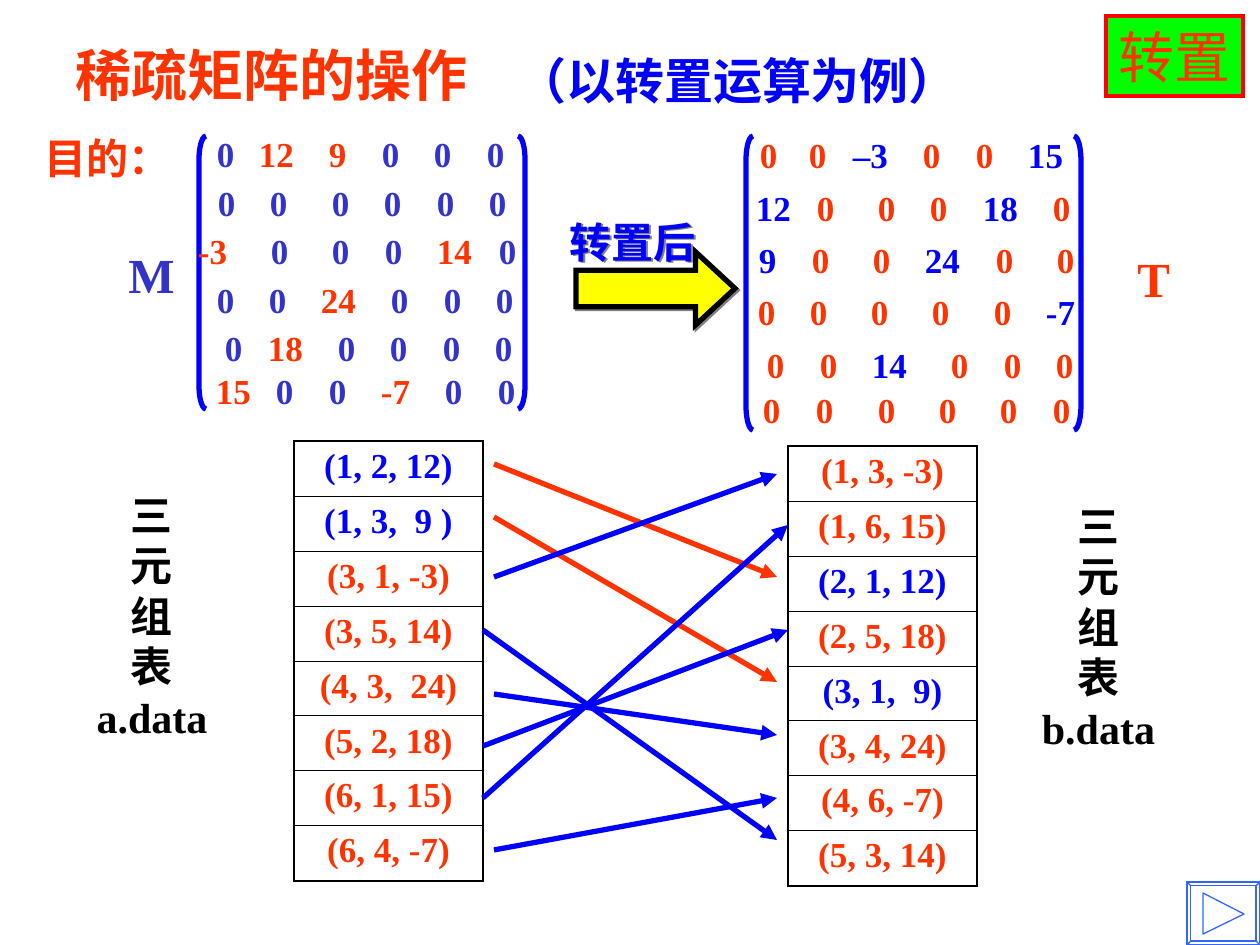
from pptx import Presentation
from pptx.dml.color import RGBColor
from pptx.enum.shapes import MSO_CONNECTOR, MSO_SHAPE
from pptx.enum.text import MSO_ANCHOR as Anchor, PP_ALIGN as Align
from pptx.oxml import parse_xml
from pptx.oxml.ns import nsdecls, qn
from pptx.util import Emu, Pt

EMU_PER_PX = 914400 / 126
SERIF, SANS = "Times New Roman", "Noto Sans CJK SC"
RED = RGBColor(0xFF, 0x33, 0x00)
BLUE = RGBColor(0x00, 0x00, 0xFF)
INDIGO = RGBColor(0x33, 0x33, 0xCC)
BLACK = RGBColor(0x00, 0x00, 0x00)
YELLOW = RGBColor(0xFF, 0xFF, 0x00)
GREEN = RGBColor(0x00, 0xFF, 0x00)
FRAME_RED = RGBColor(0xFF, 0x00, 0x00)
BUTTON_BLUE = RGBColor(0x33, 0x66, 0xFF)

# Matrix rows: top, entries, left edge of each entry
MATRIX_M = [
    (136, "0 12 9 0 0 0", (217, 259, 329, 382, 434, 487)),
    (185, "0 0 0 0 0 0", (218, 270, 332, 384, 437, 489)),
    (233, "-3 0 0 0 14 0", (198, 271, 332, 385, 437, 499)),
    (282, "0 0 24 0 0 0", (217, 269, 321, 391, 444, 496)),
    (330, "0 18 0 0 0 0", (225, 268, 338, 390, 443, 495)),
    (373, "15 0 0 -7 0 0", (216, 276, 329, 381, 445, 498)),
]
MATRIX_T = [
    (136, "0 0 –3 0 0 15", (760, 809, 853, 923, 976, 1028)),
    (189, "12 0 0 0 18 0", (756, 817, 878, 930, 983, 1053)),
    (241, "9 0 0 24 0 0", (759, 812, 873, 925, 996, 1057)),
    (293, "0 0 0 0 0 -7", (758, 810, 871, 932, 994, 1046)),
    (346, "0 0 14 0 0 0", (767, 820, 872, 951, 1004, 1056)),
    (391, "0 0 0 0 0 0", (763, 816, 878, 939, 1000, 1053)),
]

TRIPLES_A = ["(1, 2, 12)", "(1, 3,  9 )", "(3, 1, -3)", "(3, 5, 14)",
             "(4, 3,  24)", "(5, 2, 18)", "(6, 1, 15)", "(6, 4, -7)"]
TRIPLES_B = ["(1, 3, -3)", "(1, 6, 15)", "(2, 1, 12)", "(2, 5, 18)",
             "(3, 1,  9)", "(3, 4, 24)", "(4, 6, -7)", "(5, 3, 14)"]

ARROWS = [
    (494, 464, 777, 577, RED),
    (494, 517, 777, 682, RED),
    (494, 577, 777, 474, BLUE),
    (483, 630, 777, 840, BLUE),
    (494, 850, 777, 798, BLUE),
    (494, 694, 777, 735, BLUE),
    (483, 746, 788, 630, BLUE),
    (483, 798, 788, 525, BLUE),
]


def px(length):
    return Emu(round(length * EMU_PER_PX))


def box(*lengths):
    return [px(length) for length in lengths]


def style_font(run, size, color, name=SERIF, bold=True):
    for key, value in {"size": Pt(size), "bold": bold, "name": name}.items():
        setattr(run.font, key, value)
    run.font.color.rgb = color
    # Chinese characters always use the sans face
    run.font._element.append(
        parse_xml(f'<a:ea {nsdecls("a")} typeface="{SANS}"/>'))


def add_text(slide, bounds, lines, size, color, name=SERIF,
             align=Align.LEFT, wrap=False):
    shape = slide.shapes.add_textbox(*box(*bounds))
    frame = shape.text_frame
    frame.word_wrap = wrap
    frame.vertical_anchor = Anchor.MIDDLE
    for index, line in enumerate(lines):
        paragraph = frame.add_paragraph() if index else frame.paragraphs[0]
        paragraph.alignment = align
        run = paragraph.add_run()
        run.text = line
        style_font(run, size, color, name)
    return shape


def add_preset(slide, preset, bounds, line, width, fill=None):
    shape = slide.shapes.add_shape(preset, *box(*bounds))
    shape.shadow.inherit = False
    if fill is None:
        shape.fill.background()
    else:
        shape.fill.solid()
        shape.fill.fore_color.rgb = fill
    shape.line.color.rgb = line
    shape.line.width = Pt(width)
    shape.element.spPr.find(qn("a:ln")).append(
        parse_xml(f'<a:miter {nsdecls("a")} lim="800000"/>'))
    return shape


def add_drop_shadow(shape):
    shape.shadow.inherit = False
    shape.element.spPr.find(qn("a:effectLst")).append(parse_xml(
        f'<a:outerShdw {nsdecls("a")} dist="17961" dir="2700000">'
        '<a:srgbClr val="808080"/></a:outerShdw>'))


def add_matrix(slide, rows, left, right, height, zero_color, value_color):
    bracket_width = 7
    for preset, x in ((MSO_SHAPE.LEFT_BRACKET, left),
                      (MSO_SHAPE.RIGHT_BRACKET, right - bracket_width)):
        bracket = add_preset(slide, preset, (x, 136, bracket_width, height),
                             BLUE, 3)
        bracket.adjustments[0] = height / 12 / bracket_width
    for top, entries, edges in rows:
        shape = slide.shapes.add_textbox(*box(edges[0], top, 330, height / 8))
        frame = shape.text_frame
        for side in ("left", "right", "top", "bottom"):
            setattr(frame, f"margin_{side}", 0)
        frame.word_wrap = True
        frame.vertical_anchor = Anchor.MIDDLE
        paragraph = frame.paragraphs[0]
        stops = "".join(f'<a:tab pos="{px(edge - edges[0])}" algn="l"/>'
                        for edge in edges[1:])
        paragraph._p.get_or_add_pPr().append(
            parse_xml(f'<a:tabLst {nsdecls("a")}>{stops}</a:tabLst>'))
        for index, entry in enumerate(entries.split()):
            run = paragraph.add_run()
            run.text = "\t" + entry if index else entry
            style_font(run, 20, zero_color if entry == "0" else value_color)


def add_triple_table(slide, left, top, triples, blue_rows):
    row_height = 55
    count = len(triples)
    frame = slide.shapes.add_table(
        count, 1, *box(left, top, 189, row_height * count))
    table = frame.table
    table.first_row = table.horz_banding = False
    for index, triple in enumerate(triples):
        table.rows[index].height = px(row_height)
        cell = table.cell(index, 0)
        paragraph = cell.text_frame.paragraphs[0]
        paragraph.alignment = Align.CENTER
        run = paragraph.add_run()
        run.text = triple
        style_font(run, 20, BLUE if index in blue_rows else RED)
        # Outer edges are thicker than the row rules
        widths = {"L": 1.08, "R": 1.08,
                  "T": 0.45 if index else 1.08,
                  "B": 0.45 if index < count - 1 else 1.08}
        for side, width in widths.items():
            cell._tc.get_or_add_tcPr().append(parse_xml(
                f'<a:ln{side} {nsdecls("a")} w="{Pt(width)}"><a:solidFill>'
                f'<a:srgbClr val="{BLACK}"/></a:solidFill></a:ln{side}>'))
        cell.fill.background()
        cell.vertical_anchor = Anchor.MIDDLE
        cell.margin_top = px(2)


def add_arrow(slide, x1, y1, x2, y2, color):
    arrow = slide.shapes.add_connector(
        MSO_CONNECTOR.STRAIGHT, *box(x1, y1, x2, y2))
    arrow.line.color.rgb = color
    arrow.line.width = Pt(3)
    properties = arrow.element.spPr
    properties.find(qn("a:ln")).append(
        parse_xml(f'<a:tailEnd {nsdecls("a")} type="triangle"/>'))
    properties.append(parse_xml(f'<a:effectLst {nsdecls("a")}/>'))


def add_next_button(slide):
    bevel = add_preset(slide, MSO_SHAPE.BEVEL, (1187, 882, 73, 63),
                       BUTTON_BLUE, 0.75)
    bevel.adjustments[0] = 0.06
    builder = slide.shapes.build_freeform(1203, 893, scale=EMU_PER_PX)
    builder.add_line_segments([(1244, 914), (1203, 934)], close=True)
    triangle = builder.convert_to_shape()
    triangle.shadow.inherit = False
    triangle.fill.background()
    triangle.line.color.rgb = BUTTON_BLUE
    triangle.line.width = Pt(0.75)


def main():
    presentation = Presentation()
    presentation.slide_width, presentation.slide_height = box(1260, 945)
    slide = presentation.slides.add_slide(presentation.slide_layouts[6])

    # Heading
    add_text(slide, (63, 32, 494, 84), ["稀疏矩阵的操作"], 32, RED, SANS,
             wrap=True)
    add_text(slide, (505, 44, 520, 72), ["（以转置运算为例）"], 28, BLUE, SANS,
             wrap=True)
    add_text(slide, (32, 126, 151, 63), ["目的："], 24, RED, SANS)

    # Matrices and their names
    add_matrix(slide, MATRIX_M, 199, 525, 273, INDIGO, RED)
    add_matrix(slide, MATRIX_T, 746, 1081, 294, RED, BLUE)
    add_text(slide, (116, 238, 71, 72), ["M"], 28, INDIGO)
    add_text(slide, (1125, 242, 58, 72), ["T"], 28, RED)

    # Triple tables and the moves between them
    add_triple_table(slide, 294, 441, TRIPLES_A, {0, 1})
    add_triple_table(slide, 788, 446, TRIPLES_B, {2, 4})
    for arrow in ARROWS:
        add_arrow(slide, *arrow)
    for bounds, name in (((84, 483, 136, 265), "a.data"),
                         ((1029, 494, 139, 265), "b.data")):
        add_text(slide, bounds, [*"三元组表", name], 24, BLACK,
                 align=Align.CENTER)

    # Transpose arrow with caption
    block_arrow = add_preset(slide, MSO_SHAPE.RIGHT_ARROW,
                             (576, 252, 159, 73), BLACK, 3, YELLOW)
    block_arrow.adjustments[1] = 0.54
    caption = add_text(slide, (557, 210, 151, 63), ["转置后"], 24, BLUE, SANS)
    for shape in (block_arrow, caption):
        add_drop_shadow(shape)

    # Corner badge and button
    add_next_button(slide)
    badge = add_preset(slide, MSO_SHAPE.RECTANGLE, (1106, 16, 137, 80),
                       FRAME_RED, 2.25, GREEN)
    badge.text_frame.word_wrap = False
    paragraph = badge.text_frame.paragraphs[0]
    paragraph.alignment = Align.LEFT
    run = paragraph.add_run()
    run.text = "转置"
    style_font(run, 32, RED, bold=False)

    presentation.save("out.pptx")


if __name__ == "__main__":
    main()
